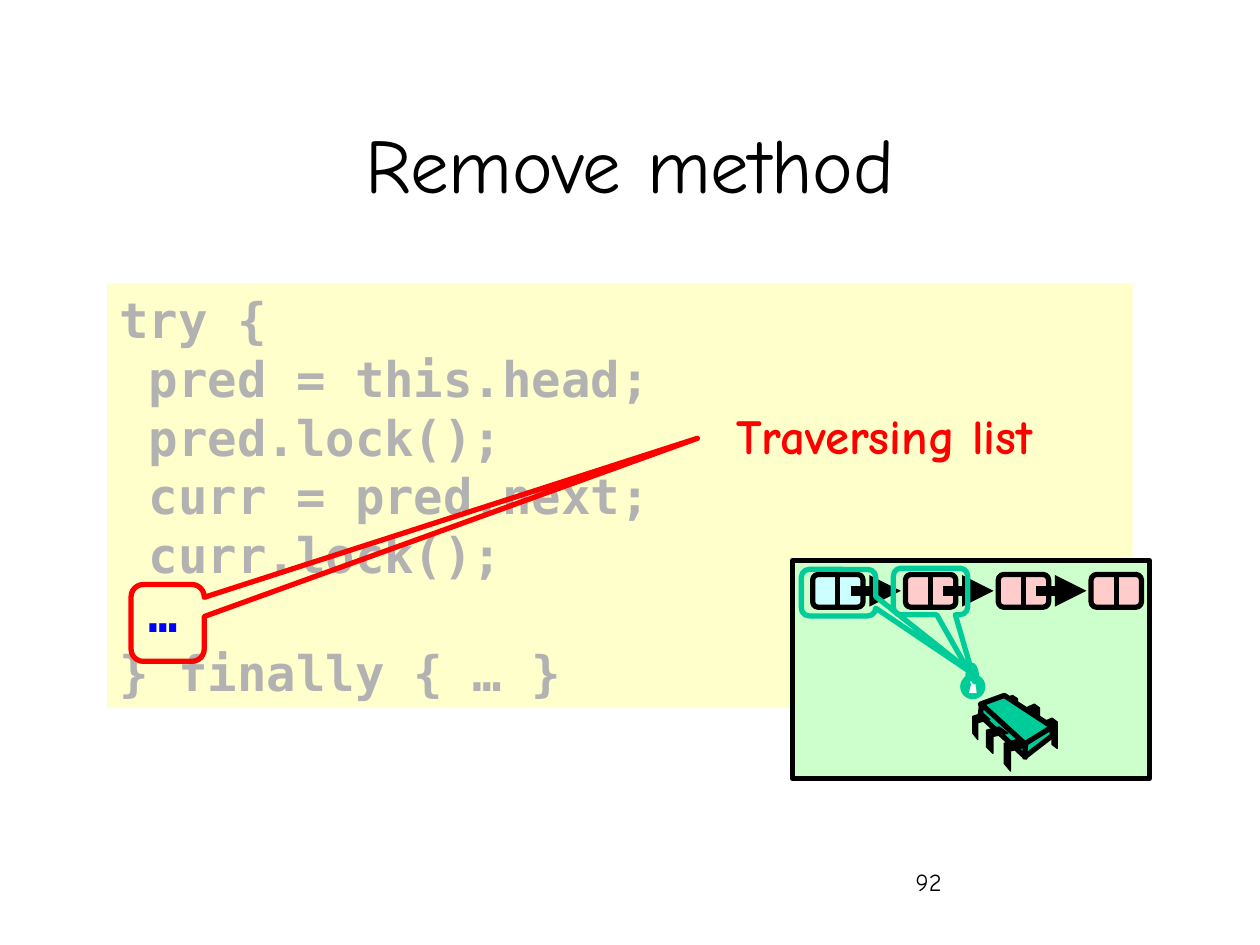
import math

import pptx
import pptx.dml.color
import pptx.enum.shapes
import pptx.enum.text
import pptx.oxml
import pptx.oxml.ns
import pptx.util

Pt = pptx.util.Pt
SHAPE = pptx.enum.shapes.MSO_SHAPE
ALIGN = pptx.enum.text.PP_ALIGN
ANCHOR = pptx.enum.text.MSO_ANCHOR
A = 'xmlns:a="http://schemas.openxmlformats.org/drawingml/2006/main"'

C = {"black": "000000", "white": "FFFFFF", "cream": "FFFFCC", "gray": "B2B2B2",
     "blue": "0000FF", "red": "FF0000", "mint": "CCFFCC", "green": "00CC99",
     "pink": "FFCCCC", "cyan": "CCFFFF"}
SANS, MONO = "Comic Neue", "DejaVu Sans Mono"


def rgb(name):
    return pptx.dml.color.RGBColor.from_string(C[name])


def style(sp, fill=None, line=None, width=3):
    sp.shadow.inherit = False
    if fill:
        sp.fill.solid()
        sp.fill.fore_color.rgb = rgb(fill)
    else:
        sp.fill.background()
    if line:
        sp.line.color.rgb = rgb(line)
        sp.line.width = Pt(width)
    else:
        sp.line.fill.background()
    return sp


def shape(shapes, kind, box, fill=None, line=None, adj=()):
    sp = shapes.add_shape(kind, *map(Pt, box))
    for i, value in enumerate(adj):
        sp.adjustments[i] = value
    return style(sp, fill, line)


def outline(shapes, x, y, points, fill, line=None, width=3):
    pts = [(100 * (x + px), 100 * (y + py)) for px, py in points]
    fb = shapes.build_freeform(*pts[0], scale=Pt(1) / 100)
    fb.add_line_segments(pts[1:], close=True)
    return style(fb.convert_to_shape(), fill, line, width)


def line(shapes, x1, y1, x2, y2, width, arrow=False):
    cx = shapes.add_connector(pptx.enum.shapes.MSO_CONNECTOR.STRAIGHT,
                              Pt(x1), Pt(y1), Pt(x2), Pt(y2))
    cx.line.color.rgb = rgb("black")
    cx.line.width = Pt(width)
    if arrow:
        ln = cx.line._get_or_add_ln()
        ln.append(pptx.oxml.parse_xml(f'<a:tailEnd {A} type="triangle"/>'))
    cx._element.spPr.append(pptx.oxml.parse_xml(f"<a:effectLst {A}/>"))


def write(sp, lines, font, size, bold=False, align=ALIGN.LEFT,
          anchor=ANCHOR.TOP, spacing=None):
    tf = sp.text_frame
    tf.word_wrap = True
    tf.vertical_anchor = anchor
    for i, (text, color) in enumerate(lines):
        p = tf.paragraphs[0] if i == 0 else tf.add_paragraph()
        p.alignment = align
        if spacing:
            p.line_spacing = Pt(spacing)
        r = p.add_run()
        r.text = text
        r.font.name = font
        r.font.size = Pt(size)
        r.font.bold = bold
        r.font.color.rgb = rgb(color)


def label(shapes, box, text, size, **options):
    write(shapes.add_textbox(*map(Pt, box)), [(text, "black")], SANS, size, **options)


def code_block(shapes, box):
    sp = shape(shapes, SHAPE.RECTANGLE, box, "cream")
    lines = ["try {", " pred = this.head;", " pred.lock();", " curr = pred.next;",
             " curr.lock();", " …", "} finally { … }"]
    write(sp, [(t, "blue" if t == " …" else "gray") for t in lines],
          MONO, 28, True, spacing=33.6)


def note(shapes, box):
    sp = shape(shapes, SHAPE.RECTANGLE, box, "cream")
    color = sp._element.spPr.find(".//" + pptx.oxml.ns.qn("a:srgbClr"))
    color.append(pptx.oxml.parse_xml(f'<a:alpha {A} val="70000"/>'))
    write(sp, [("Traversing list", "red")], SANS, 28, True, ALIGN.CENTER)


def callout(shapes, box, color, dx, dy):
    shape(shapes, SHAPE.ROUNDED_RECTANGULAR_CALLOUT, box, None, color, (dx, dy, 0.167))


def arc(cx, cy, rx, ry, angles):
    return [(cx - rx * math.cos(math.radians(a)), cy - ry * math.sin(math.radians(a)))
            for a in angles]


def padlock(shapes, x, y):
    shape(shapes, SHAPE.OVAL, (x, y + 6.5, 14.4, 14.4), "green")
    shape(shapes, SHAPE.OVAL, (x + 5.8, y + 9.4, 3.6, 3.6), "white")
    outline(shapes, x, y, [(5, 17.3), (6.5, 11.5), (8.6, 11.5), (9.4, 17.3)], "white")
    shackle = (arc(6.9, 8.6, 1.8, 4.3, range(0, 181, 15))
               + arc(6.9, 8.6, 4, 8.6, range(180, -1, -15)))
    outline(shapes, x, y, shackle, "green")


def chip(shapes, x, y):
    back_leg = [(0, 2.2), (5, 0), (7.9, 2.2), (7.9, 17.3), (5, 15.1), (5, 5), (0, 7.2)]
    front_leg = [(7.2, 0), (12.2, 4.3), (3.6, 6.5), (3.6, 18), (0, 13.7), (0, 2.2)]
    faces = [[(18, 0), (45.4, 18), (30.2, 28.1), (4.3, 5)],
             [(5, 5), (30.2, 28.1), (30.2, 35.3), (4.3, 11.5)],
             [(45.4, 18), (45.4, 23), (29.5, 35.3), (30.2, 27.4)]]

    def legs(leg, places):
        for dx, dy, kx, ky in places:
            outline(shapes, x + dx, y + dy, [(kx * a, ky * b) for a, b in leg],
                    "black", "black", 0.75)

    legs(back_leg, [(40.3, 13, 1, 1), (30.2, 5, 1, 1), (18, 0, 0.95, 0.86)])
    for face in faces:
        outline(shapes, x, y, face, "green", "black")
    legs(front_leg, [(18, 25.2, 1, 1), (7.9, 18, 1, 0.84), (0, 10.1, 0.8, 0.84)])


def list_panel(shapes, box):
    x, y = box[:2]
    pitch, w, h = 53.04, 28.8, 18.72
    lefts = [x + 11.5 + i * pitch for i in range(4)]
    top = y + 7.9
    shape(shapes, SHAPE.RECTANGLE, box, "mint", "black")
    for i, left in enumerate(lefts):
        shape(shapes, SHAPE.ROUNDED_RECTANGLE, (left, top, w, h),
              "pink" if i else "cyan", "black", (0.167,))
        line(shapes, left + w / 2, top, left + w / 2, top + h, 3)
    for left in lefts[:-1]:
        line(shapes, left + 21.6, top + h / 2, left + 50.4, top + h / 2, 6, True)
    callout(shapes, (x + 5, y + 5, 42.5, 26.6), "green", 1.813, 1.749)
    padlock(shapes, x + 95.8, y + 58.3)
    chip(shapes, x + 103, y + 77)
    callout(shapes, (x + 57.6, y + 4.3, 42.5, 26.6), "green", 0.596, 1.944)


def main():
    prs = pptx.Presentation()
    prs.slide_width, prs.slide_height = Pt(720), Pt(540)
    s = prs.slides.add_slide(prs.slide_layouts[6])
    label(s.shapes, (516.2, 491.8, 149.8, 36), "92", 14)
    label(s.shapes, (54, 48, 612, 90), "Remove method", 44,
          align=ALIGN.CENTER, anchor=ANCHOR.MIDDLE)
    code_block(s.shapes, (61.2, 162, 586, 242.6))
    note(s.shapes, (375.8, 228.2, 259.2, 41))
    list_panel(s.shapes.add_group_shape().shapes, (452.9, 320.4, 203.8, 124.6))
    callout(s.shapes, (74.9, 334, 41.8, 43.9), "red", 7.24, -2.403)
    prs.save("out.pptx")


if __name__ == "__main__":
    main()
